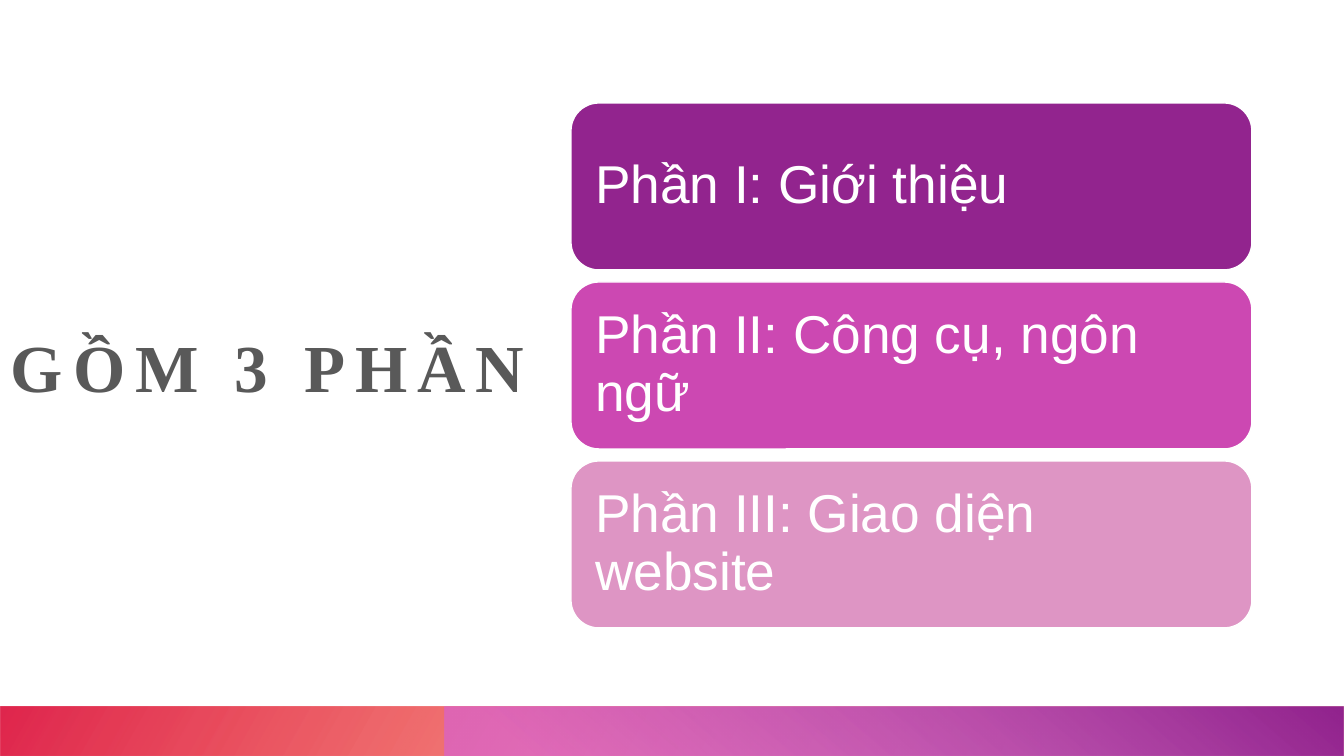
from dataclasses import dataclass

from pptx import Presentation
from pptx.dml.color import RGBColor
from pptx.enum.shapes import MSO_SHAPE
from pptx.enum.text import MSO_ANCHOR, MSO_AUTO_SIZE, PP_ALIGN
from pptx.oxml import parse_xml
from pptx.oxml.ns import nsdecls
from pptx.util import Pt

EMU_PER_PX = 914400 / 100.8
SLIDE_W, SLIDE_H = 1344, 756


@dataclass(frozen=True)
class Theme:
    title_font: str = "Times New Roman"
    title_size: int = 48
    title_color: str = "595959"
    title_spacing: int = 7
    card_font: str = "Arial"
    card_size: int = 38
    card_text: str = "FFFFFF"
    card_line: str = "FFFFFF"
    card_fills: tuple = ("92248E", "CC48B2", "DE95C4")
    # Gradient stops: position %, colour, opacity %
    red_stops: tuple = ((14, "FE4A00", 28), (100, "DA002F", 85))
    purple_stops: tuple = ((9, "D861D4", 68), (99, "92248E", 100))


THEME = Theme()


def px(*lengths):
    return [round(n * EMU_PER_PX) for n in lengths]


def rgb(color):
    return RGBColor.from_string(color)


def format_text(p, font, size, color, bold=False):
    p.alignment = PP_ALIGN.LEFT
    p.font.name = font
    p.font.size = Pt(size)
    p.font.bold = bold
    p.font.color.rgb = rgb(color)


def set_margins(tf, margin):
    inset, = px(margin)
    tf.margin_left = tf.margin_right = inset
    tf.margin_top = tf.margin_bottom = inset


def set_title(slide, text, *box):
    sp = slide.shapes.title
    sp.left, sp.top, sp.width, sp.height = px(*box)
    tf = sp.text_frame
    tf.text = text
    tf.word_wrap = True
    tf.auto_size = MSO_AUTO_SIZE.NONE
    tf.vertical_anchor = MSO_ANCHOR.MIDDLE
    set_margins(tf, 0)
    p = tf.paragraphs[0]
    format_text(p, THEME.title_font, THEME.title_size, THEME.title_color, True)
    for r in p.runs:
        r.font._element.set("spc", str(THEME.title_spacing * 100))


def add_bar(slide, stops, angle, rotation, *box):
    """Add a mirrored bar with a translucent gradient."""
    sp = slide.shapes.add_shape(MSO_SHAPE.RECTANGLE, *px(*box))
    sp.shadow.inherit = False
    sp.line.fill.background()
    sp.rotation = rotation
    props = sp._element.spPr
    props.xfrm.set("flipH", "1")
    gs = "".join(
        f'<a:gs pos="{pos * 1000}"><a:srgbClr val="{color}">'
        f'<a:alpha val="{opacity * 1000}"/></a:srgbClr></a:gs>'
        for pos, color, opacity in stops
    )
    gradient = parse_xml(
        f'<a:gradFill {nsdecls("a")} rotWithShape="1"><a:gsLst>{gs}</a:gsLst>'
        f'<a:lin ang="{angle * 60000}" scaled="0"/></a:gradFill>'
    )
    props.prstGeom.addnext(gradient)


def add_card(slide, text, fill, *box):
    sp = slide.shapes.add_shape(MSO_SHAPE.ROUNDED_RECTANGLE, *px(*box))
    sp.shadow.inherit = False
    sp.fill.solid()
    sp.fill.fore_color.rgb = rgb(fill)
    sp.line.color.rgb = rgb(THEME.card_line)
    sp.line.width = Pt(1)
    tf = sp.text_frame
    tf.text = text
    tf.word_wrap = True
    tf.vertical_anchor = MSO_ANCHOR.MIDDLE
    # The rounded corners add 8 px of their own to the text inset.
    set_margins(tf, 16)
    p = tf.paragraphs[0]
    p.line_spacing = 0.9
    format_text(p, THEME.card_font, THEME.card_size, THEME.card_text)


def main():
    prs = Presentation()
    prs.slide_width, prs.slide_height = px(SLIDE_W, SLIDE_H)
    slide = prs.slides.add_slide(prs.slide_layouts[5])

    set_title(slide, "GỒM 3 PHẦN", 11, 251, 549, 229)

    bar_top, bar_h, purple_left = 707, 49, 445
    add_bar(slide, THEME.red_stops, 150, 180, 0, bar_top, SLIDE_W, bar_h)
    add_bar(slide, THEME.purple_stops, 230, 0,
            purple_left, bar_top, SLIDE_W - purple_left, bar_h)

    parts = (
        "Phần I: Giới thiệu",
        "Phần II: Công cụ, ngôn ngữ",
        "Phần III: Giao diện website",
    )
    card_top, card_h, gap = 103, 167, 12
    for i, (text, fill) in enumerate(zip(parts, THEME.card_fills)):
        top = card_top + i * (card_h + gap)
        add_card(slide, text, fill, 571, top, 681, card_h)

    prs.save("out.pptx")


if __name__ == "__main__":
    main()
